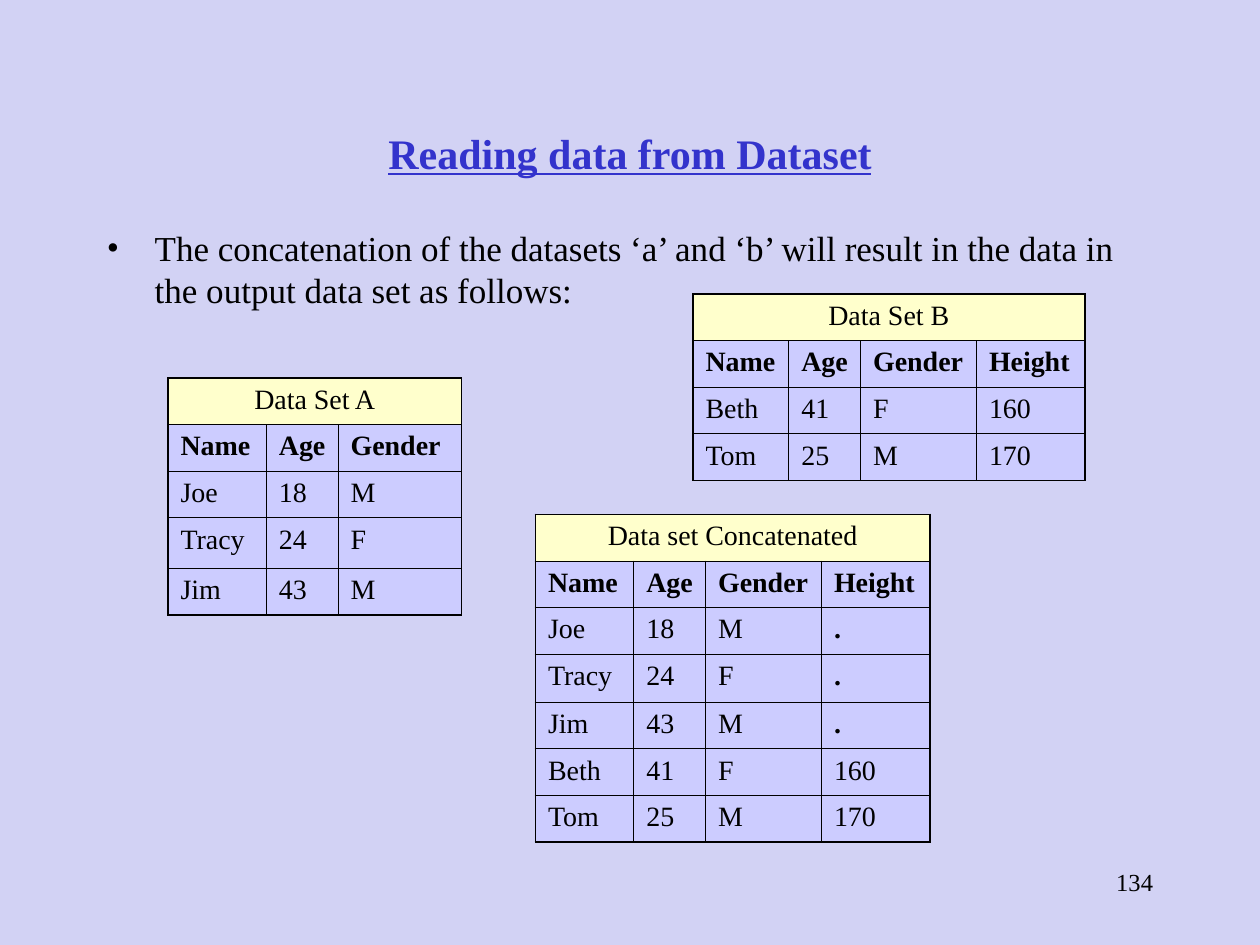
from lxml import etree
from pptx import Presentation
from pptx.dml.color import RGBColor
from pptx.enum.text import MSO_ANCHOR, PP_ALIGN
from pptx.oxml.ns import qn
from pptx.util import Inches, Pt

LEFT, CENTER, RIGHT = PP_ALIGN.LEFT, PP_ALIGN.CENTER, PP_ALIGN.RIGHT
MIDDLE, TOP = MSO_ANCHOR.MIDDLE, MSO_ANCHOR.TOP

# Content
TITLE = "Reading data from Dataset"
BODY = ("The concatenation of the datasets ‘a’ and ‘b’ will result in the data in "
        "the output data set as follows:")
PAGE_NUMBER = "134"
HEADINGS = ["Name", "Age", "Gender", "Height"]
PEOPLE_A = [("Joe", "18", "M"), ("Tracy", "24", "F"), ("Jim", "43", "M")]
PEOPLE_B = [("Beth", "41", "F", "160"), ("Tom", "25", "M", "170")]
MISSING = "."
TABLES = [
    {"caption": "Data Set A", "rows": PEOPLE_A, "at": (16, 36),
     "widths": [0.78, 0.57, 0.98], "tall_rows": {3: 0.4}},
    {"caption": "Data Set B", "rows": PEOPLE_B, "at": (66, 28),
     "widths": [0.76, 0.57, 0.92, 0.86], "tall_rows": {}},
    {"caption": "Data set Concatenated",
     "rows": [person + (MISSING,) for person in PEOPLE_A] + PEOPLE_B, "at": (51, 49),
     "widths": [0.78, 0.57, 0.92, 0.86], "tall_rows": {3: 0.38}},
]

# Style
FONT, BLACK, BLUE = "Times New Roman", "000000", "3333CC"
BACKGROUND, CAPTION_FILL, CELL_FILL = "D2D2F4", "FFFFCC", "CCCCFF"
THICK, THIN = 1.08, 0.45
ROW_HEIGHT = 0.37
HANGING = Inches(0.38)
GRID_COLUMNS, GRID_ROWS = 120, 90

deck = Presentation()
deck.slide_width, deck.slide_height = Inches(10), Inches(7.5)
page = deck.slides.add_slide(deck.slide_layouts[5])


def color(value):
    return RGBColor.from_string(value)


def grid(*units):
    """Turn left, top, width, height in grid units into slide lengths."""
    steps = (deck.slide_width / GRID_COLUMNS, deck.slide_height / GRID_ROWS) * 2
    return [round(unit * step) for unit, step in zip(units, steps)]


def write(frame, text, size, align=LEFT, ink=BLACK, **formats):
    para = frame.paragraphs[0]
    para.alignment = align
    span = para.add_run()
    span.text = text
    for name, value in {"name": FONT, "size": Pt(size), **formats}.items():
        setattr(span.font, name, value)
    span.font.color.rgb = color(ink)
    return para


def add_box(*units):
    frame = page.shapes.add_textbox(*grid(*units)).text_frame
    frame.word_wrap = True
    return frame


def draw_borders(cell, weights):
    properties = cell._tc.get_or_add_tcPr()
    for side, weight in weights.items():
        line = etree.SubElement(properties, qn(f"a:ln{side}"), w=str(Pt(weight)))
        fill = etree.SubElement(line, qn("a:solidFill"))
        etree.SubElement(fill, qn("a:srgbClr"), val=BLACK)


def add_data_table(caption, rows, at, widths, tall_rows):
    columns = len(widths)
    grid_text = [[caption] + [""] * (columns - 1), HEADINGS[:columns], *rows]
    heights = [tall_rows.get(row, ROW_HEIGHT) for row in range(len(grid_text))]
    table = page.shapes.add_table(len(heights), columns, *grid(*at),
                                  Inches(sum(widths)), Inches(sum(heights))).table
    table.first_row = table.horz_banding = False
    for column, width in zip(table.columns, widths):
        column.width = Inches(width)
    for row, height in zip(table.rows, heights):
        row.height = Inches(height)
    table.cell(0, 0).merge(table.cell(0, columns - 1))

    for r, texts in enumerate(grid_text):
        for c, text in enumerate(texts):
            cell = table.cell(r, c)
            outer = {"L": r == 0 or c == 0, "R": r == 0 or c == columns - 1,
                     "T": r == 0, "B": r == len(heights) - 1}
            draw_borders(cell, {side: THICK if edge else THIN
                                for side, edge in outer.items()})
            cell.fill.solid()
            cell.fill.fore_color.rgb = color(CELL_FILL if r else CAPTION_FILL)
            if text:
                write(cell.text_frame, text, 16, LEFT if r else CENTER,
                      bold=r == 1 or text == MISSING)


# Background and title
page.background.fill.solid()
page.background.fill.fore_color.rgb = color(BACKGROUND)
title = page.shapes.title
title.left, title.top, title.width, title.height = grid(9, 10, 102, 9)
title.text_frame.vertical_anchor = MIDDLE
write(title.text_frame, TITLE, 24, CENTER, BLUE, bold=True, underline=True)

# Bulleted statement
body = add_box(9, 21, 102, 54)
body.vertical_anchor = TOP
properties = write(body, BODY, 20)._p.get_or_add_pPr()
properties.set("marL", str(HANGING))
properties.set("indent", str(-HANGING))
etree.SubElement(properties, qn("a:buFont"), typeface=FONT)
etree.SubElement(properties, qn("a:buChar"), char="•")

# Data tables
for data in TABLES:
    add_data_table(**data)

# Page number
write(add_box(86, 82, 25, 6), PAGE_NUMBER, 14, RIGHT)

deck.save("out.pptx")
